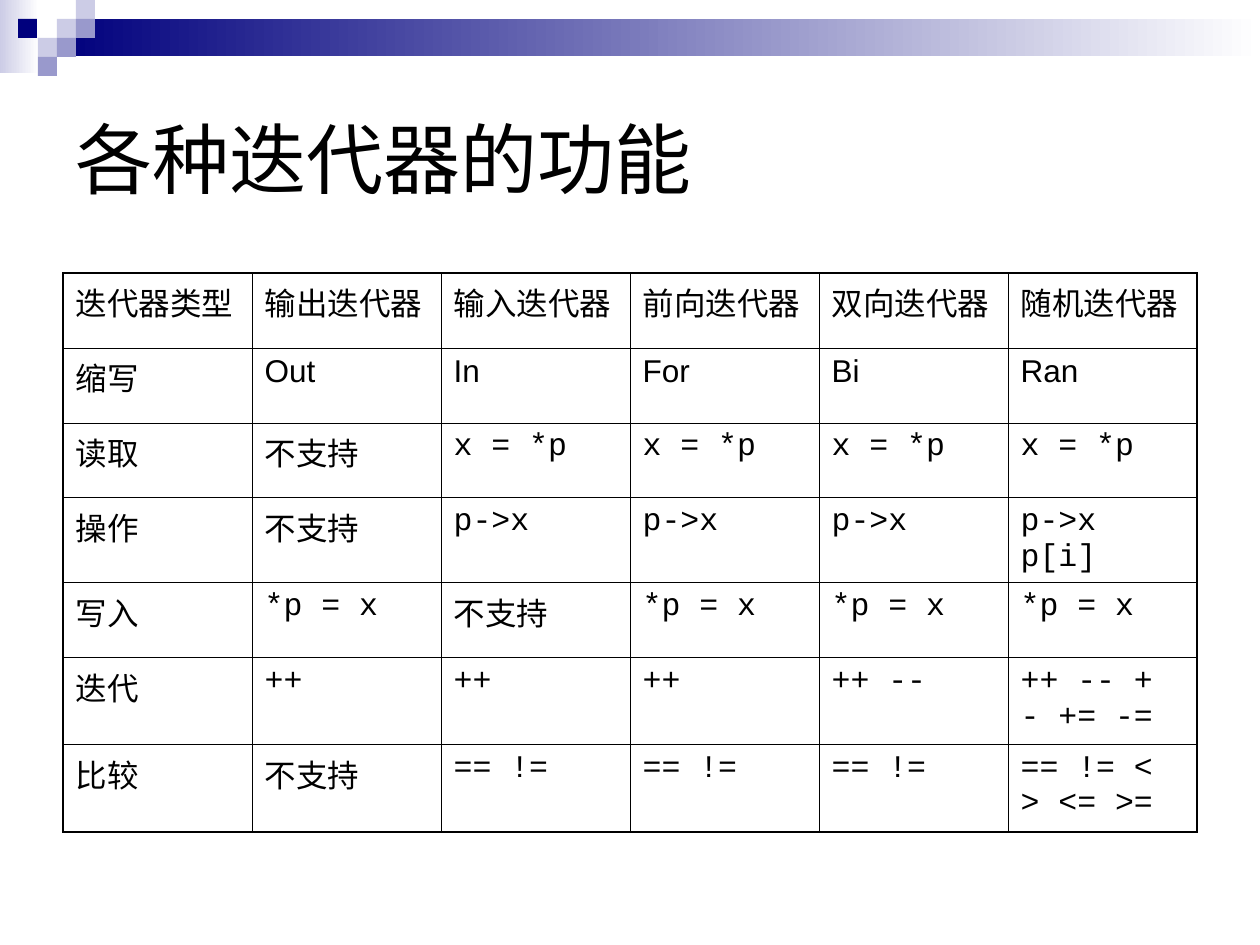
"""Build a slide that compares the features of iterator kinds."""
from lxml import etree
from pptx import Presentation
from pptx.dml.color import RGBColor
from pptx.enum.shapes import MSO_SHAPE
from pptx.enum.text import MSO_ANCHOR, MSO_AUTO_SIZE, PP_ALIGN
from pptx.oxml.ns import qn
from pptx.util import Emu, Pt

RECT = MSO_SHAPE.RECTANGLE
MIDDLE = MSO_ANCHOR.MIDDLE
FIXED = MSO_AUTO_SIZE.NONE
LEFT = PP_ALIGN.LEFT

PX = 914400 / 126
SIDE = 19
THIN, THICK = 0.45, 1.08
COLORS = {
    "white": "FFFFFF",
    "black": "000000",
    "navy": "00007D",
    "mid": "9999CC",
    "pale": "CCCCE6",
}
BANDS = [
    ((0, 0, 39, 73), "pale"),
    ((57, 19, 1203, 37), "navy"),
]
TILES = [
    (57, 19, "pale"),
    (76, 0, "pale"),
    (76, 19, "mid"),
    (38, 38, "pale"),
    (18, 19, "navy"),
    (57, 38, "mid"),
    (38, 57, "mid"),
]
HEIGHTS = [75, 75, 75, 85, 75, 87, 87]
WIDTH = 189
ROWS = [
    ["迭代器类型", "输出迭代器", "输入迭代器", "前向迭代器", "双向迭代器", "随机迭代器"],
    ["缩写", "Out", "In", "For", "Bi", "Ran"],
    ["读取", "不支持", "x = *p", "x = *p", "x = *p", "x = *p"],
    ["操作", "不支持", "p->x", "p->x", "p->x", "p->x p[i]"],
    ["写入", "*p = x", "不支持", "*p = x", "*p = x", "*p = x"],
    ["迭代", "++", "++", "++", "++ --", "++ -- + - += -="],
    ["比较", "不支持", "== !=", "== !=", "== !=", "== != < > <= >="],
]


def px(num):
    """Turn pixels into EMU."""
    return Emu(round(num * PX))


def tint(name):
    """Return the named colour."""
    return RGBColor.from_string(COLORS[name])


def write(frame, text, size=18, font="Arial", color="black"):
    """Put left-aligned text into a frame."""
    frame.word_wrap = True
    line = frame.paragraphs[0]
    line.alignment = LEFT
    run = line.add_run()
    run.text = text
    run.font.size = Pt(size)
    run.font.name = font
    run.font.color.rgb = tint(color)


def add_rect(slide, box):
    """Add a rectangle with no line and no shadow."""
    shape = slide.shapes.add_shape(RECT, *map(px, box))
    shape.shadow.inherit = False
    shape.line.fill.background()
    return shape


def add_band(slide, box, color):
    """Add a band that fades to white on the right."""
    fill = add_rect(slide, box).fill
    fill.gradient()
    fill.gradient_angle = 180
    for stop, name in zip(fill.gradient_stops, ("white", color)):
        stop.color.rgb = tint(name)


def add_tile(slide, left, top, color):
    """Add a small solid square."""
    fill = add_rect(slide, (left, top, SIDE, SIDE)).fill
    fill.solid()
    fill.fore_color.rgb = tint(color)


def add_title(slide, text):
    """Place and fill the title."""
    title = slide.shapes.title
    title.left, title.top, title.width, title.height = map(px, (63, 63, 1134, 189))
    frame = title.text_frame
    frame.auto_size = FIXED
    frame.vertical_anchor = MIDDLE
    write(frame, text, size=44)


def add_edge(cell, tag, width):
    """Draw one border of a cell."""
    props = cell._tc.get_or_add_tcPr()
    line = etree.SubElement(props, qn(tag), w=str(Pt(width)))
    fill = etree.SubElement(line, qn("a:solidFill"))
    etree.SubElement(fill, qn("a:srgbClr"), val=COLORS["black"])


def add_grid(slide, rows):
    """Add the table with a thick frame and thin inner lines."""
    count = len(rows[0])
    box = map(px, (63, 273, WIDTH * count, sum(HEIGHTS)))
    table = slide.shapes.add_table(len(rows), count, *box).table
    for col in table.columns:
        col.width = px(WIDTH)
    for r, (row, high) in enumerate(zip(rows, HEIGHTS)):
        table.rows[r].height = px(high)
        for c, text in enumerate(row):
            cell = table.cell(r, c)
            outer = {
                "a:lnL": c == 0,
                "a:lnR": c == count - 1,
                "a:lnT": r == 0,
                "a:lnB": r == len(rows) - 1,
            }
            for tag, thick in outer.items():
                add_edge(cell, tag, THICK if thick else THIN)
            cell.fill.background()
            code = r > 1 and text.isascii()
            write(cell.text_frame, text, font="Courier New" if code else "Arial")


def main():
    """Build and save the slide."""
    deck = Presentation()
    deck.slide_width, deck.slide_height = px(1260), px(945)
    slide = deck.slides.add_slide(deck.slide_layouts[5])
    for box, color in BANDS:
        add_band(slide, box, color)
    for tile in TILES:
        add_tile(slide, *tile)
    add_title(slide, "各种迭代器的功能")
    add_grid(slide, ROWS)
    deck.save("out.pptx")


if __name__ == "__main__":
    main()
